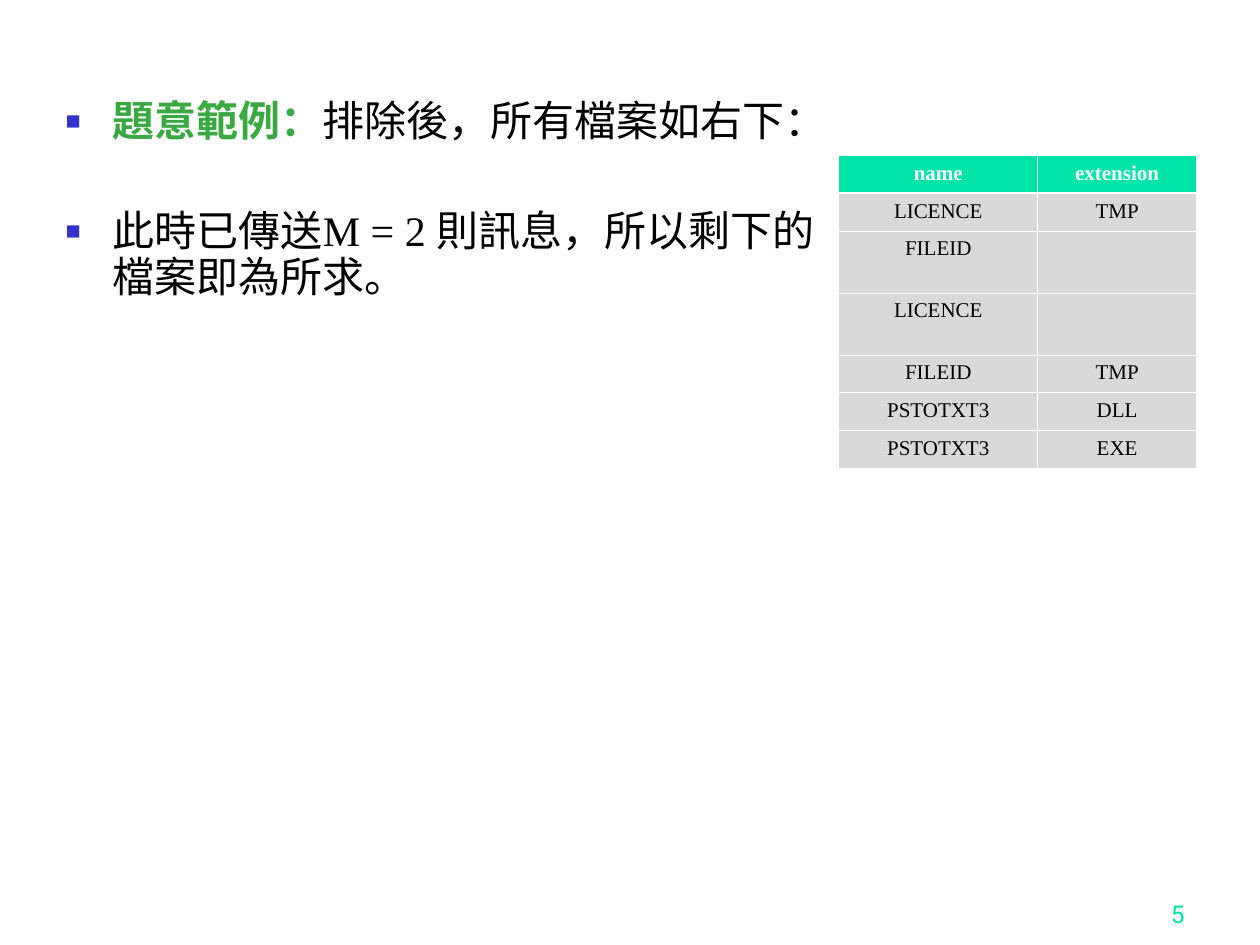
from lxml.etree import SubElement
from pptx import Presentation
from pptx.dml.color import RGBColor
from pptx.enum.text import MSO_ANCHOR as Anchor, MSO_AUTO_SIZE as AutoSize, PP_ALIGN as Align
from pptx.oxml.ns import qn
from pptx.util import Cm, Pt

BLACK = RGBColor(0x00, 0x00, 0x00)
WHITE = RGBColor(0xFF, 0xFF, 0xFF)
GREEN = RGBColor(0x3B, 0xA9, 0x43)
MINT = RGBColor(0x00, 0xE4, 0xA8)
GREY = RGBColor(0xD9, 0xD9, 0xD9)
BULLET_BLUE = RGBColor(0x33, 0x33, 0xCC)
SERIF = "Times New Roman"

FILES = [
    ("name", "extension"),
    ("LICENCE", "TMP"),
    ("FILEID", ""),
    ("LICENCE", ""),
    ("FILEID", "TMP"),
    ("PSTOTXT3", "DLL"),
    ("PSTOTXT3", "EXE"),
]


def add_run(paragraph, text, size, color, font=SERIF, bold=False):
    run = paragraph.add_run()
    run.text = text
    run.font.name, run.font.size, run.font.bold = font, Pt(size), bold
    run.font.color.rgb = color


def set_bullet(paragraph):
    """Give the paragraph a small blue square with a hanging indent."""
    properties = paragraph._p.get_or_add_pPr()
    properties.set("marL", str(Cm(0.95)))
    properties.set("indent", str(-Cm(0.95)))
    color = SubElement(properties, qn("a:buClr"))
    SubElement(color, qn("a:srgbClr"), val=str(BULLET_BLUE))
    SubElement(properties, qn("a:buSzPct"), val="60000")
    SubElement(properties, qn("a:buFont"), typeface=SERIF)
    SubElement(properties, qn("a:buChar"), char="■")


def format_bullet(paragraph, space_before):
    paragraph.line_spacing = 0.9
    paragraph.space_before = Pt(space_before)
    set_bullet(paragraph)


def fill_body(body):
    body.left, body.top, body.width, body.height = Cm(1.07), Cm(1.9), Cm(22.43), Cm(15.62)
    frame = body.text_frame
    frame.auto_size = AutoSize.NONE
    example = frame.paragraphs[0]
    format_bullet(example, 0)
    add_run(example, "題意範例：", 24, GREEN, bold=True)
    add_run(example, "排除後，所有檔案如右下：", 24, BLACK)

    # The second line starts early to stay clear of the table
    result = frame.add_paragraph()
    format_bullet(result, 37)
    add_run(result, "此時已傳送M = 2 則訊息，所以剩下的", 24, BLACK)
    result.add_line_break()
    add_run(result, "檔案即為所求。", 24, BLACK)


def set_borders(cell, widths):
    """Draw white cell borders; widths maps each side to points."""
    properties = cell._tc.get_or_add_tcPr()
    for position, (side, width) in enumerate(widths.items()):
        line = properties.makeelement(qn(f"a:{side}"), {"w": str(Pt(width))})
        fill = SubElement(line, qn("a:solidFill"))
        SubElement(fill, qn("a:srgbClr"), val=str(WHITE))
        properties.insert(position, line)


def add_file_table(slide):
    table = slide.shapes.add_table(
        len(FILES), 2, Cm(16.91), Cm(3.13), Cm(7.21), Cm(6.3)).table
    table.columns[0].width, table.columns[1].width = Cm(4.01), Cm(3.2)
    for row_index, values in enumerate(FILES):
        header = row_index == 0
        table.rows[row_index].height = Cm(0.76) if all(values) else Cm(1.25)
        for column_index, value in enumerate(values):
            cell = table.cell(row_index, column_index)
            cell.fill.solid()
            cell.fill.fore_color.rgb = MINT if header else GREY
            set_borders(cell, {"lnL": 0.45, "lnR": 0.45,
                               "lnT": 1.47 if row_index == 1 else 0.45,
                               "lnB": 1.47 if header else 0.45})
            if value:
                paragraph = cell.text_frame.paragraphs[0]
                paragraph.alignment = Align.CENTER
                add_run(paragraph, value, 12, WHITE if header else BLACK, bold=header)


def add_slide_number(slide, number):
    box = slide.shapes.add_textbox(Cm(18.85), Cm(17.58), Cm(5.28), Cm(1.27))
    frame = box.text_frame
    frame.word_wrap = True
    frame.vertical_anchor = Anchor.BOTTOM
    frame.paragraphs[0].alignment = Align.RIGHT
    add_run(frame.paragraphs[0], number, 14, MINT, font="Roboto")


def main():
    presentation = Presentation()
    presentation.slide_width, presentation.slide_height = Cm(25.4), Cm(19.05)
    # Title and content layout, used without its title
    slide = presentation.slides.add_slide(presentation.slide_layouts[1])
    title = slide.shapes.title._element
    title.getparent().remove(title)
    fill_body(slide.placeholders[1])
    add_slide_number(slide, "5")
    add_file_table(slide)
    presentation.save("out.pptx")


if __name__ == "__main__":
    main()
